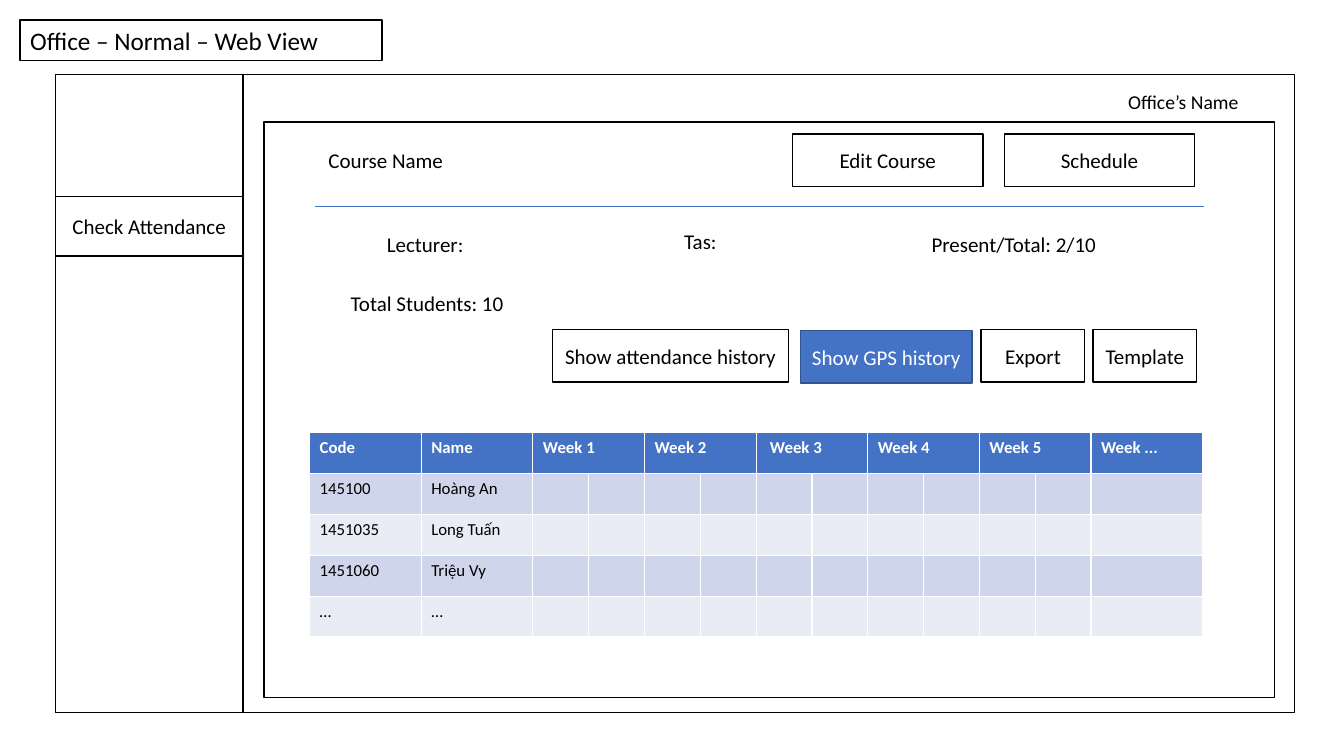
from lxml.etree import SubElement
from pptx import Presentation
from pptx.dml.color import RGBColor
from pptx.enum.shapes import MSO_CONNECTOR, MSO_SHAPE
from pptx.enum.text import MSO_ANCHOR, MSO_AUTO_SIZE, PP_ALIGN
from pptx.oxml.ns import qn
from pptx.util import Inches, Pt

# Content
TITLE = "Office – Normal – Web View"
COLORS = {"ink": "000000", "paper": "FFFFFF", "accent": "4472C4",
          "accent_edge": "325491", "band_dark": "CFD5EA", "band_light": "E9EBF5"}
FONT = "Calibri"
BODY_SIZE = 15

# Window frames: left, top, width, height in inches
TITLE_BOX = (0.2, 0.2, 3.59, 0.4)
WINDOW = (0.55, 0.74, 12.29, 6.33)
SIDEBAR = (*WINDOW[:2], 1.86, WINDOW[3])
MENU_ITEM = (WINDOW[0], 1.95, SIDEBAR[2], 0.59)
PANEL = (2.62, 1.21, 10.02, 5.71)
DIVIDER = (3.12, 2.05, 8.82)  # left, top, width

# Rows of the panel: (text, left, width), each row sharing a height
ROW_HEIGHT = 0.52
HEADER_TOP, ACTION_TOP = 1.33, 3.27
HEADER_BUTTONS = [("Edit Course", 7.86, 1.89), ("Schedule", 9.96, 1.89)]
ACTION_BUTTONS = [("Show attendance history", 5.48, 2.34),
                  ("Export", 9.73, 1.03), ("Template", 10.84, 1.03)]
ACTIVE_BUTTON = ("Show GPS history", (7.94, 3.28, 1.7, ROW_HEIGHT))
COURSE_FACTS = [("Lecturer: ", 3.07, 2.16, 2.34), ("Tas: ", 6.31, 2.13, 1.32),
                ("Present/Total: 2/10", 9.11, 2.16, 1.89),
                ("Total Students: 10", 3.29, 2.75, 1.89)]
CAPTIONS = [("Office’s Name", (11.09, 0.84, 1.55, 0.34), 14),
            ("Course Name", (3.16, 1.41, 2.16, 0.35), BODY_SIZE)]

# Attendance table: each heading with the number of columns it spans
HEADINGS = [("Code", 1), ("Name", 1), ("Week 1", 2), ("Week 2", 2),
            (" Week 3", 2), ("Week 4", 2), ("Week 5", 2), ("Week ...", 1)]
STUDENTS = [("145100", "Hoàng An"), ("1451035", "Long Tuấn"),
            ("1451060", "Triệu Vy"), ("…", "…")]
TABLE_BOX = (3.07, 4.29, 8.86, 2.03)


def color(name):
    return RGBColor.from_string(COLORS[name])


def write(frame, text, size=BODY_SIZE, ink="ink", bold=False,
          align=PP_ALIGN.CENTER, anchor=MSO_ANCHOR.MIDDLE):
    frame.word_wrap = True
    frame.auto_size = MSO_AUTO_SIZE.NONE
    frame.vertical_anchor = anchor
    write_paragraph(frame.paragraphs[0], text, size, ink, bold, align)


def write_paragraph(paragraph, text, size, ink, bold, align):
    paragraph.alignment = align
    run = paragraph.add_run()
    run.text = text
    run.font.name, run.font.size, run.font.bold = FONT, Pt(size), bold
    run.font.color.rgb = color(ink)


def outline(shape, fill="paper", edge="ink"):
    shape.fill.solid()
    shape.fill.fore_color.rgb = color(fill)
    shape.line.color.rgb = color(edge)
    shape.line.width = Pt(1)


def add_box(slide, box, text="", fill="paper", edge="ink", ink="ink"):
    shape = slide.shapes.add_shape(MSO_SHAPE.RECTANGLE, *map(Inches, box))
    shape.shadow.inherit = False
    outline(shape, fill, edge)
    if text:
        write(shape.text_frame, text, ink=ink)


def add_label(slide, box, text, **style):
    label = slide.shapes.add_textbox(*map(Inches, box))
    write(label.text_frame, text, **style)


def add_divider(slide):
    left, top, width = map(Inches, DIVIDER)
    divider = slide.shapes.add_connector(
        MSO_CONNECTOR.STRAIGHT, left, top, left + width, top)
    divider.line.color.rgb = color("accent")
    divider.line.width = Pt(0.5)
    SubElement(divider.element.spPr, qn("a:effectLst"))


def add_attendance(slide):
    column_count = sum(span for _, span in HEADINGS)
    row_count = len(STUDENTS) + 1
    table = slide.shapes.add_table(
        row_count, column_count, *map(Inches, TABLE_BOX)).table

    # A split week takes half a heading's width per column
    heading_width = Inches(TABLE_BOX[2] / len(HEADINGS))
    column = 0
    for heading, span in HEADINGS:
        for part in range(column, column + span):
            table.columns[part].width = heading_width // span
        cell = table.cell(0, column)
        if span > 1:
            cell.merge(table.cell(0, column + span - 1))
        write_paragraph(cell.text_frame.paragraphs[0], heading, 12, "paper",
                        True, PP_ALIGN.LEFT)
        column += span

    for row, student in enumerate(STUDENTS, start=1):
        for column, value in enumerate(student):
            write_paragraph(table.cell(row, column).text_frame.paragraphs[0],
                            value, 12, "ink", False, PP_ALIGN.LEFT)

    for row in range(row_count):
        band = "accent" if row == 0 else ("band_light", "band_dark")[row % 2]
        for cell in table.rows[row].cells:
            cell.fill.solid()
            cell.fill.fore_color.rgb = color(band)
            if not cell.text_frame.text:
                cell.text_frame.paragraphs[0].font.size = Pt(12)


def main():
    deck = Presentation()
    deck.slide_width, deck.slide_height = Inches(13.33), Inches(7.5)
    slide = deck.slides.add_slide(deck.slide_layouts[5])

    # Title
    title = slide.shapes.title
    title.left, title.top, title.width, title.height = map(Inches, TITLE_BOX)
    outline(title)
    write(title.text_frame, TITLE, size=18, align=PP_ALIGN.LEFT,
          anchor=MSO_ANCHOR.TOP)

    # Window, sidebar and panel
    add_box(slide, WINDOW)
    add_box(slide, SIDEBAR)
    add_box(slide, MENU_ITEM, "Check Attendance")
    add_box(slide, PANEL)
    add_divider(slide)

    # Buttons
    for top, buttons in ((HEADER_TOP, HEADER_BUTTONS),
                         (ACTION_TOP, ACTION_BUTTONS)):
        for text, left, width in buttons:
            add_box(slide, (left, top, width, ROW_HEIGHT), text)
    text, box = ACTIVE_BUTTON
    add_box(slide, box, text, fill="accent", edge="accent_edge", ink="paper")

    # Labels
    for text, left, top, width in COURSE_FACTS:
        add_label(slide, (left, top, width, ROW_HEIGHT), text)
    for text, box, size in CAPTIONS:
        add_label(slide, box, text, size=size, align=PP_ALIGN.LEFT,
                  anchor=MSO_ANCHOR.TOP)

    add_attendance(slide)
    deck.save("out.pptx")


if __name__ == "__main__":
    main()
